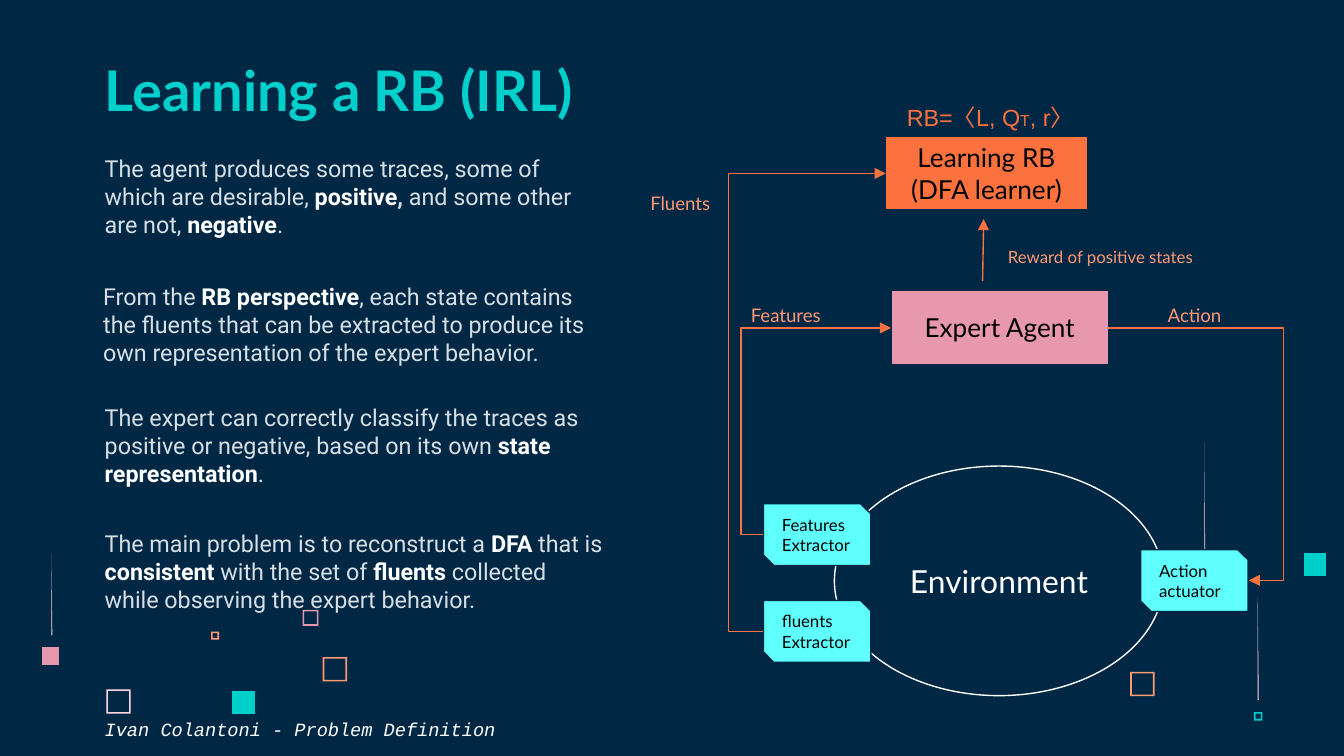
from lxml.etree import SubElement
from pptx import Presentation
from pptx.dml.color import RGBColor
from pptx.enum.shapes import MSO_CONNECTOR, MSO_SHAPE
from pptx.enum.text import MSO_ANCHOR, MSO_AUTO_SIZE, PP_ALIGN
from pptx.oxml.ns import qn
from pptx.util import Cm, Pt

NAVY, WHITE, BLACK = "002845", "FFFFFF", "000000"
TEAL, AQUA = "00CFCC", "5EFFFD"
ORANGE, PEACH = "FC723F", "FF9973"
PINK, BLUSH = "E898AC", "FFD6E1"


def paint(shape, fill=None, line=None, width=0.75):
    shape.shadow.inherit = False
    for part, colour in ((shape.fill, fill), (shape.line.fill, line)):
        if colour:
            part.solid()
            part.fore_color.rgb = RGBColor.from_string(colour)
        else:
            part.background()
    if line:
        shape.line.width = Pt(width)


def write(shape, paragraphs, anchor=MSO_ANCHOR.TOP, align=PP_ALIGN.LEFT):
    frame = shape.text_frame
    settings = {"word_wrap": True, "auto_size": MSO_AUTO_SIZE.NONE, "vertical_anchor": anchor}
    for side in ("left", "top", "right", "bottom"):
        settings["margin_" + side] = Cm(0.25)
    for name, value in settings.items():
        setattr(frame, name, value)
    for index, spans in enumerate(paragraphs):
        paragraph = frame.add_paragraph() if index else frame.paragraphs[0]
        paragraph.alignment = align
        for text, style in spans:
            span = paragraph.add_run()
            span.text = text
            for name, value in style.items():
                if name == "colour":
                    span.font.color.rgb = RGBColor.from_string(value)
                else:
                    setattr(span.font, name, value)


deck = Presentation()
deck.slide_width, deck.slide_height = Cm(25.4), Cm(14.29)
page = deck.slides.add_slide(deck.slide_layouts[5])
page.background.fill.solid()
page.background.fill.fore_color.rgb = RGBColor.from_string(NAVY)

border = 0.03
for left, top, size, colour, hollow in (
    (2.01, 13.03, 0.46, BLUSH, True),
    (5.72, 11.53, 0.3, PINK, True),
    (3.99, 11.94, 0.15, PEACH, True),
    (6.1, 12.42, 0.46, PEACH, True),
    (21.36, 12.7, 0.46, PEACH, True),
    (4.39, 13.06, 0.43, TEAL, False),
    (0.79, 12.24, 0.33, PINK, False),
    (24.64, 10.46, 0.43, TEAL, False),
    (23.7, 13.46, 0.16, TEAL, True),
):
    right, bottom = left + size, top + size
    builder = page.shapes.build_freeform(Cm(left), Cm(top))
    builder.add_line_segments([(Cm(x), Cm(y)) for x, y in ((right, top), (right, bottom), (left, bottom))])
    if hollow:
        near_x, near_y, far_x, far_y = left + border, top + border, right - border, bottom - border
        builder.move_to(Cm(near_x), Cm(near_y))
        builder.add_line_segments([(Cm(x), Cm(y)) for x, y in ((near_x, far_y), (far_x, far_y), (far_x, near_y))])
    paint(builder.convert_to_shape(), fill=colour)

for left, top, height in ((22.76, 8.36, 2.46), (0.97, 10.46, 1.55), (23.77, 11.3, 1.93)):
    builder = page.shapes.build_freeform(Cm(left), Cm(top))
    builder.add_line_segments([(Cm(left), Cm(top + height)), (Cm(left + 0.02), Cm(top + height))])
    paint(builder.convert_to_shape(), fill=BLUSH)

node = {"name": "Lato", "size": Pt(14), "colour": BLACK}
for kind, left, top, width, height, fill, line, lines, style in (
    (MSO_SHAPE.OVAL, 15.77, 8.81, 6.22, 4.34, None, WHITE, ["Environment"],
     node | {"size": Pt(17), "colour": WHITE}),
    (MSO_SHAPE.RECTANGLE, 16.84, 5.49, 4.11, 1.4, PINK, NAVY, ["Expert Agent"], node),
    (MSO_SHAPE.RECTANGLE, 16.74, 2.57, 3.81, 1.4, ORANGE, NAVY, ["Learning RB", "(DFA learner)"], node),
):
    box = page.shapes.add_shape(kind, Cm(left), Cm(top), Cm(width), Cm(height))
    paint(box, fill, line)
    write(box, [[(text, style)] for text in lines], MSO_ANCHOR.MIDDLE, PP_ALIGN.CENTER)

for left, top, text in (
    (14.43, 9.52, "Features Extractor"),
    (21.56, 10.39, "Action actuator"),
    (14.43, 11.35, "fluents Extractor"),
):
    box = page.shapes.add_shape(MSO_SHAPE.SNIP_2_DIAG_RECTANGLE, Cm(left), Cm(top), Cm(2.03), Cm(1.17))
    paint(box, AQUA, NAVY)
    write(box, [[(text, node | {"size": Pt(9)})]], MSO_ANCHOR.MIDDLE)

for start_x, start_y, end_x, end_y, bend in (
    (14.43, 10.11, 16.84, 6.2, -17600),
    (20.95, 6.2, 23.6, 10.97, 125000),
    (14.43, 11.94, 16.74, 3.28, -28700),
    (18.57, 5.31, 18.59, 4.14, None),
):
    kind = MSO_CONNECTOR.ELBOW if bend else MSO_CONNECTOR.STRAIGHT
    arrow = page.shapes.add_connector(kind, Cm(start_x), Cm(start_y), Cm(end_x), Cm(end_y))
    arrow.line.width = Pt(0.75)
    arrow.line.color.rgb = RGBColor.from_string(ORANGE)
    properties = arrow.element.spPr
    if bend:
        guides = properties.find(qn("a:prstGeom")).get_or_add_avLst()
        SubElement(guides, qn("a:gd"), name="adj1", fmla=f"val {bend}")
    SubElement(properties.find(qn("a:ln")), qn("a:tailEnd"), type="triangle")
    SubElement(properties, qn("a:effectLst"))

title = page.shapes.title
for name, value in {"left": 1.73, "top": 0.97, "width": 13.23, "height": 1.6}.items():
    setattr(title, name, Cm(value))
heading = {"name": "Lato", "size": Pt(30), "bold": True, "colour": TEAL}
write(title, [[("Learning a RB (IRL)", heading)]], MSO_ANCHOR.BOTTOM)

plain = {"name": "Roboto", "size": Pt(12.5), "bold": False, "colour": "D7DFE5"}
strong = plain | {"bold": True, "colour": WHITE}
label = {"name": "Lato", "size": Pt(10), "colour": PEACH}
formula = {"name": "Arial", "size": Pt(12.5), "colour": ORANGE}
footer = {"name": "Courier New", "size": Pt(10), "italic": True, "colour": WHITE}

for left, top, width, height, spans in (
    (1.73, 2.67, 9.83, 2.26, [
        ("The agent produces some traces, some of which are desirable, ", plain),
        ("positive", strong), (",", plain | {"bold": True}),
        (" and some other are not, ", plain), ("negative", strong), (".", plain)]),
    (1.7, 5.08, 10.01, 2.26, [
        ("From the ", plain), ("RB perspective", strong),
        (", each state contains the fluents that can be extracted to produce its own "
         "representation of the expert behavior.", plain)]),
    (1.73, 7.37, 10.01, 1.88, [
        ("The expert can correctly classify the traces as positive or negative, based on its own ", plain),
        ("state representation", strong), (".", plain)]),
    (1.73, 9.75, 9.91, 3.05, [
        ("The main problem is to reconstruct a ", plain), ("DFA", strong), (" that is ", plain),
        ("consistent", strong), (" with the set of ", plain), ("fluents", strong),
        (" collected while observing the expert behavior.", plain)]),
    (21.82, 5.49, 2.03, 0.64, [("Action", label)]),
    (13.94, 5.49, 2.03, 0.64, [("Features", label)]),
    (12.04, 3.38, 2.03, 0.64, [("Fluents", label)]),
    (18.8, 4.42, 4.11, 0.64, [("Reward of positive states", label | {"size": Pt(9)})]),
    (16.89, 1.7, 4.22, 0.86, [
        ("RB=〈L, Q", formula), ("T", formula | {"size": Pt(8.5)}), (", r〉", formula)]),
    (1.73, 13.31, 8.56, 0.64, [("Ivan Colantoni - Problem Definition", footer)]),
):
    write(page.shapes.add_textbox(Cm(left), Cm(top), Cm(width), Cm(height)), [spans])

deck.save("out.pptx")
